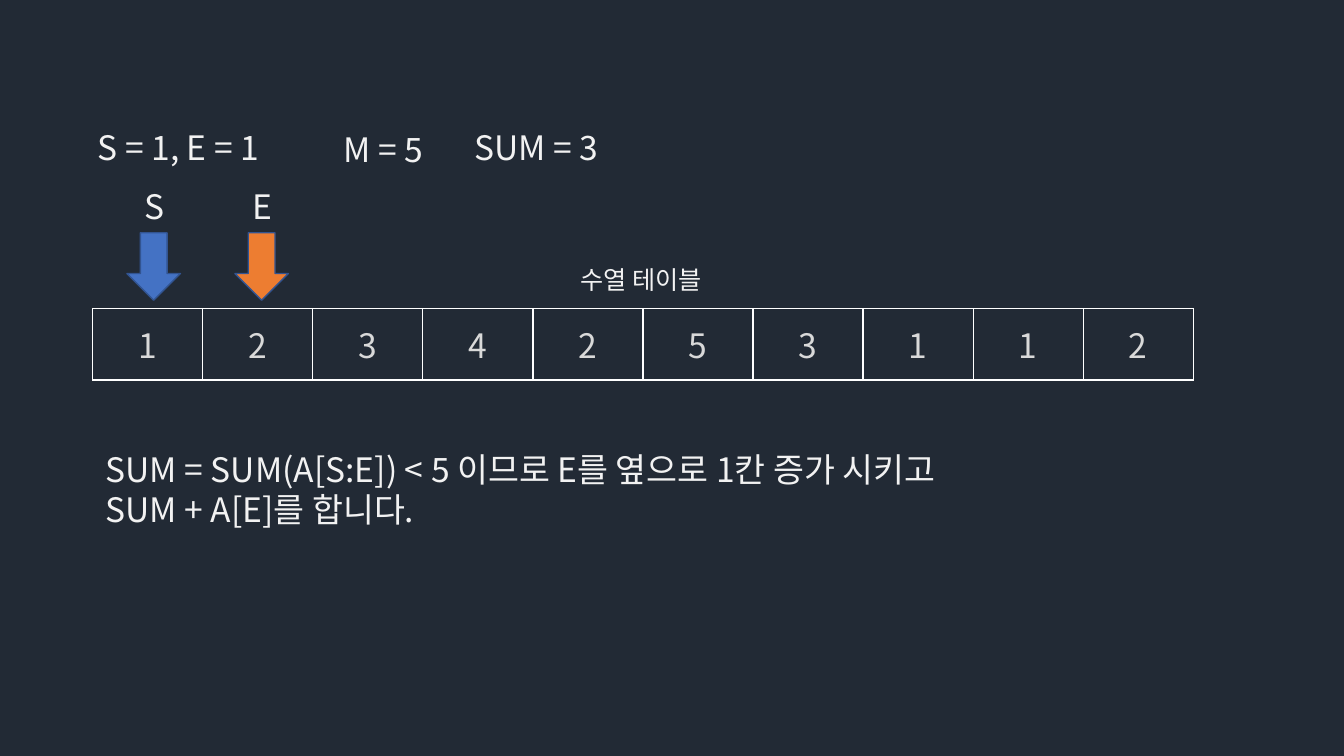
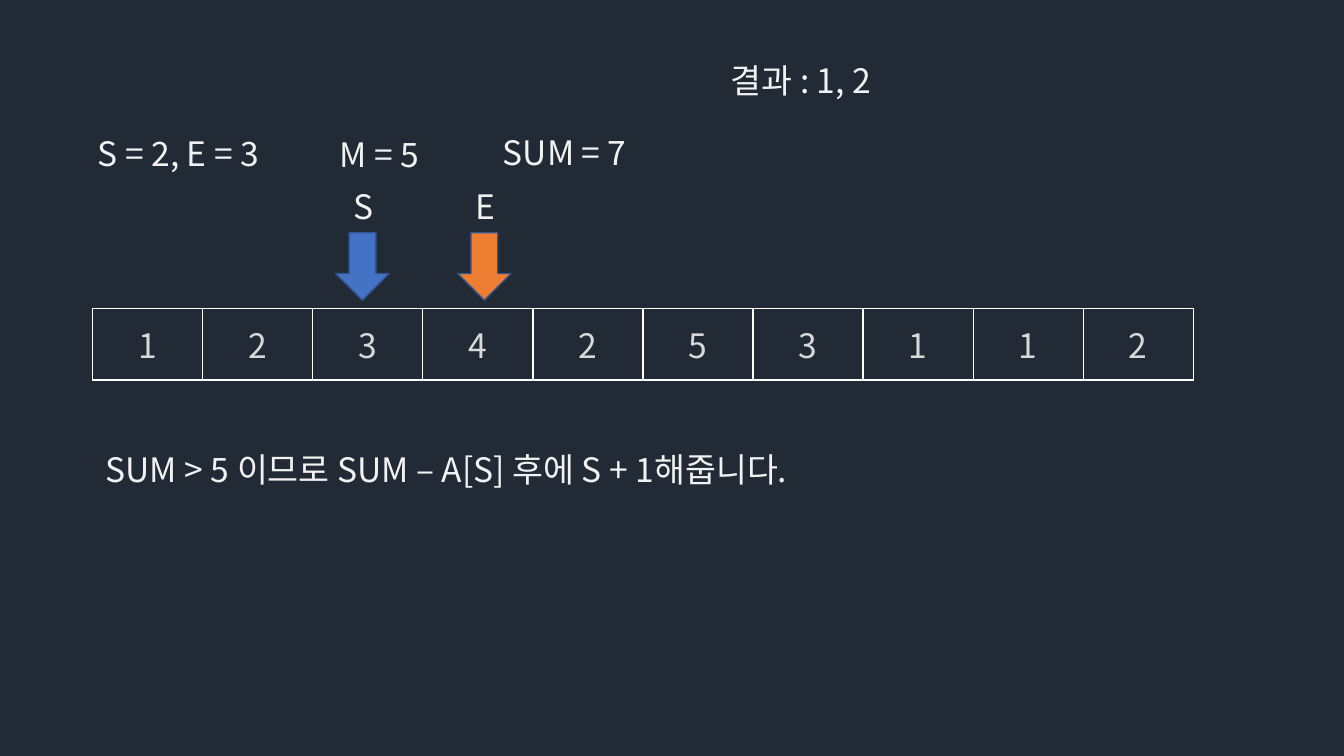
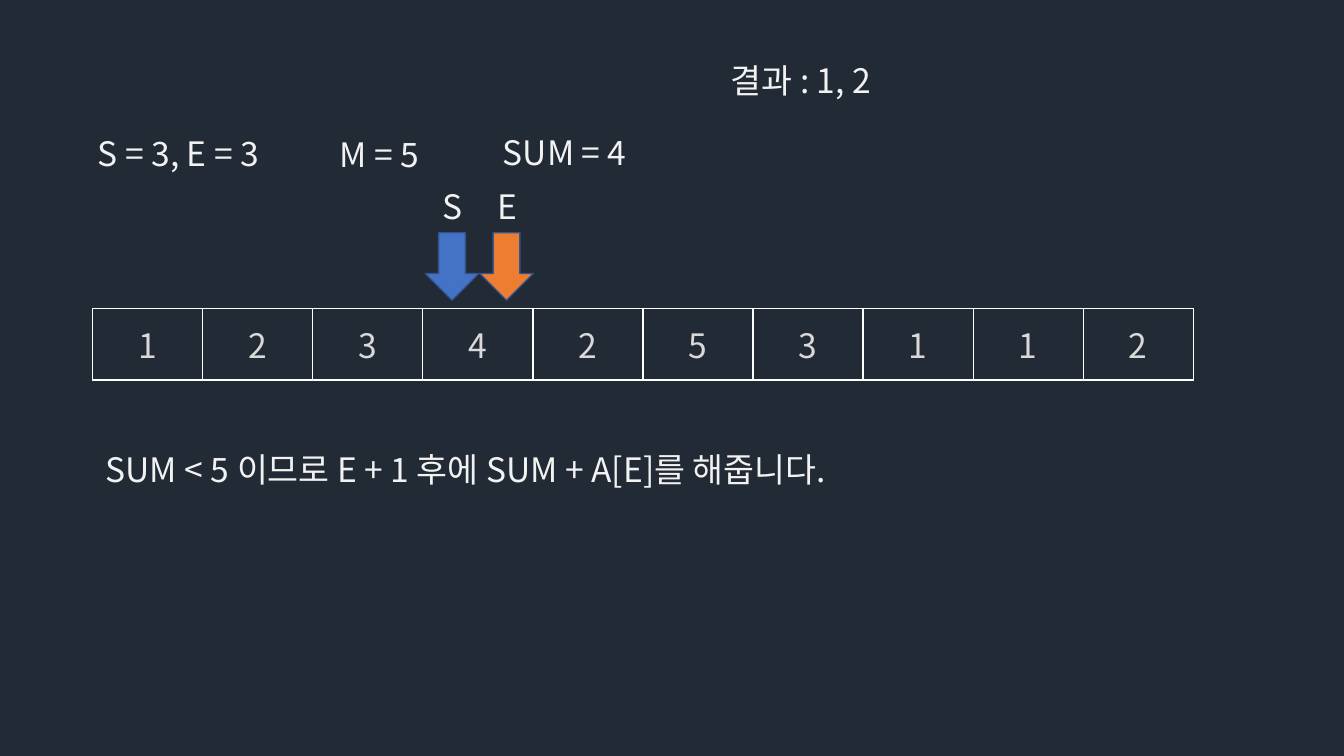
from pptx import Presentation
from pptx.dml.color import RGBColor
from pptx.enum.shapes import MSO_SHAPE
from pptx.enum.text import MSO_ANCHOR, MSO_AUTO_SIZE, PP_ALIGN
from pptx.oxml import parse_xml
from pptx.oxml.ns import nsdecls
from pptx.util import Pt

COLORS = {
    "background": "222A35",
    "text": "F2F2F2",
    "number": "D9D9D9",
    "grid": "FFFFFF",
    "start": "4472C4",
    "end": "ED7D31",
    "arrow_line": "325491",
}
FONT = "Noto Sans CJK KR"
SEQUENCE = [1, 2, 3, 4, 2, 5, 3, 1, 1, 2]
SEQUENCE_BOX = (66.24, 220.4, 786.2, 51.1)
EXPLANATION_BOX = (68.4, 316.8, 784, 36)
RESULT_BOX = (514.8, 39.6, 337.7, 36)
CAPTION_BOX = (407.5, 185, 115.2, 29)
MARKER_TOP = 129.2

# Each state item is (text, left, top); marker values are the arrows' left edges
STEPS = [
    {
        "title": ("S = 1, E = 1", 62.64, 87.1),
        "values": [("M = 5", 238.3, 88.6), ("SUM = 3", 331.9, 87.1)],
        "markers": {"S": 90.7, "E": 167.8},
        "caption": "수열 테이블",
        "explanation": "SUM = SUM(A[S:E]) < 5 이므로 E를 옆으로 1칸 증가 시키고\n"
                       "SUM + A[E]를 합니다.",
    },
    {
        "title": ("S = 2, E = 3", 62.64, 91.4),
        "values": [("M = 5", 235.4, 92.2), ("SUM = 7", 352.1, 90.7)],
        "markers": {"S": 239.8, "E": 326.9},
        "result": "결과 : 1, 2",
        "explanation": "SUM > 5 이므로 SUM – A[S] 후에 S + 1해줍니다.",
    },
    {
        "title": ("S = 3, E = 3", 62.64, 91.4),
        "values": [("M = 5", 235.4, 92.2), ("SUM = 4", 352.1, 90.7)],
        "markers": {"S": 303.8, "E": 342.7},
        "result": "결과 : 1, 2",
        "explanation": "SUM < 5 이므로 E + 1 후에 SUM + A[E]를 해줍니다.",
    },
]


def color(name):
    return RGBColor.from_string(COLORS[name])


def write(text_frame, text, size=24, color_name="text", align=PP_ALIGN.LEFT):
    """Fill a text frame, one paragraph for each line."""
    text_frame.text = text
    for paragraph in text_frame.paragraphs:
        paragraph.alignment = align
        for run in paragraph.runs:
            run.font.size = Pt(size)
            run.font.name = FONT
            run.font.color.rgb = color(color_name)
            run.font._element.append(
                parse_xml(f'<a:ea {nsdecls("a")} typeface="{FONT}"/>'))


def add_text(slide, text, box, **text_format):
    shape = slide.shapes.add_textbox(*map(Pt, box))
    shape.text_frame.word_wrap = True
    shape.text_frame.auto_size = MSO_AUTO_SIZE.SHAPE_TO_FIT_TEXT
    write(shape.text_frame, text, **text_format)


def add_state(slide, title, values):
    """Place the pointer values as the title, with M and SUM beside it."""
    text, left, top = title
    shape = slide.shapes.title
    shape.left, shape.top, shape.width, shape.height = map(
        Pt, (left, top, 189.4, 36))
    shape.text_frame.vertical_anchor = MSO_ANCHOR.TOP
    shape.text_frame.auto_size = MSO_AUTO_SIZE.NONE
    write(shape.text_frame, text)
    for text, left, top in values:
        add_text(slide, text, (left, top, 125.3, 36))


def add_marker(slide, label, left, top, fill_name):
    """Place a letter over a down arrow."""
    add_text(slide, label, (left + 5.4, top, 28, 36))
    arrow = slide.shapes.add_shape(
        MSO_SHAPE.DOWN_ARROW, Pt(left), Pt(top + 37.1), Pt(38.2), Pt(48.2))
    arrow.shadow.inherit = False
    arrow.fill.solid()
    arrow.fill.fore_color.rgb = color(fill_name)
    arrow.line.color.rgb = color("arrow_line")
    arrow.line.width = Pt(1)


def add_borders(cell):
    properties = cell._tc.get_or_add_tcPr()
    for side in ("lnL", "lnR", "lnT", "lnB"):
        properties.append(parse_xml(
            f'<a:{side} {nsdecls("a")} w="{Pt(1)}"><a:solidFill>'
            f'<a:srgbClr val="{COLORS["grid"]}"/></a:solidFill></a:{side}>'))


def add_sequence(slide, numbers, box):
    """Place the numbers in a one-row table with equal columns."""
    table = slide.shapes.add_table(1, len(numbers), *map(Pt, box)).table
    table.first_row = table.horz_banding = False
    for column, cell, number in zip(table.columns, table.iter_cells(), numbers):
        column.width = Pt(box[2] / len(numbers))
        add_borders(cell)
        cell.fill.background()
        cell.vertical_anchor = MSO_ANCHOR.MIDDLE
        write(cell.text_frame, str(number), color_name="number",
              align=PP_ALIGN.CENTER)


def add_step(presentation, step):
    slide = presentation.slides.add_slide(presentation.slide_layouts[5])
    add_state(slide, step["title"], step["values"])
    # Result and caption appear only on some steps
    if "result" in step:
        add_text(slide, step["result"], RESULT_BOX)
    if "caption" in step:
        add_text(slide, step["caption"], CAPTION_BOX, size=18)
    # Pointers over the sequence
    for (label, left), fill_name in zip(step["markers"].items(), ("start", "end")):
        add_marker(slide, label, left, MARKER_TOP, fill_name)
    add_sequence(slide, SEQUENCE, SEQUENCE_BOX)
    add_text(slide, step["explanation"], EXPLANATION_BOX)


def main():
    presentation = Presentation()
    presentation.slide_width, presentation.slide_height = Pt(960), Pt(540)
    # Shared background
    fill = presentation.slide_master.background.fill
    fill.solid()
    fill.fore_color.rgb = color("background")
    for step in STEPS:
        add_step(presentation, step)
    presentation.save("out.pptx")


if __name__ == "__main__":
    main()
